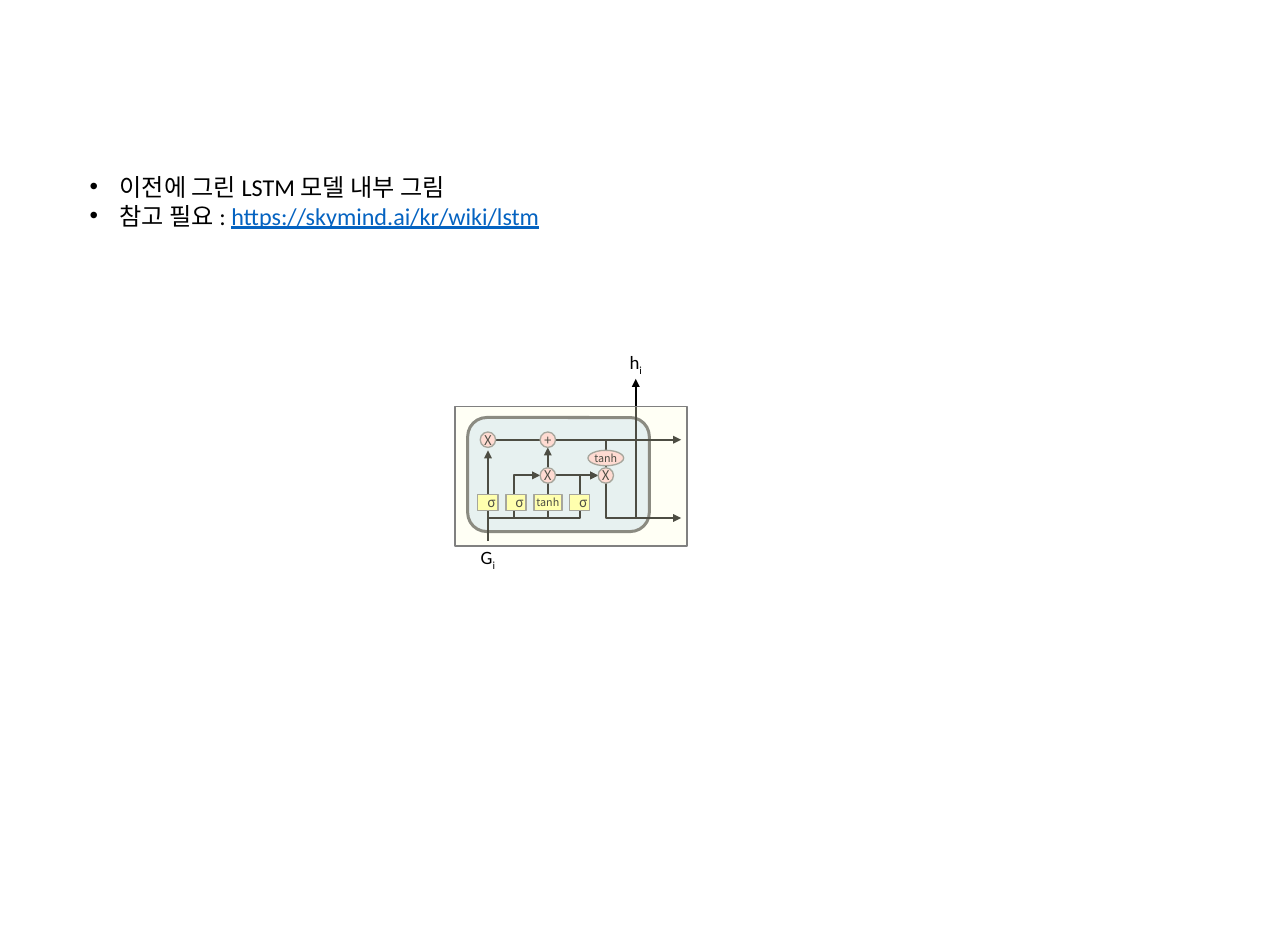
from lxml import etree
from pptx import Presentation
from pptx.dml.color import RGBColor
from pptx.enum.shapes import MSO_CONNECTOR, MSO_SHAPE
from pptx.enum.text import MSO_ANCHOR, PP_ALIGN
from pptx.oxml.ns import qn
from pptx.util import Inches, Pt

STRAIGHT, ELBOW = MSO_CONNECTOR.STRAIGHT, MSO_CONNECTOR.ELBOW
RECT, ROUND, OVAL = MSO_SHAPE.RECTANGLE, MSO_SHAPE.ROUNDED_RECTANGLE, MSO_SHAPE.OVAL
MIDDLE, LEFT, CENTER = MSO_ANCHOR.MIDDLE, PP_ALIGN.LEFT, PP_ALIGN.CENTER

BLACK = RGBColor(0x00, 0x00, 0x00)
LINK = RGBColor(0x05, 0x63, 0xC1)
GREY = RGBColor(0x80, 0x80, 0x80)
DARK = RGBColor(0x59, 0x59, 0x59)
BLUE = RGBColor(0xDE, 0xEB, 0xF7)
PINK = RGBColor(0xFF, 0xCC, 0xCC)
YELLOW = RGBColor(0xFF, 0xFF, 0x99)
IVORY = RGBColor(0xFF, 0xFF, 0xE0)

BODY_FONT, SYMBOL_FONT = "Calibri", "Noto Sans CJK KR"
SLIDE_W, SLIDE_H = Inches(13.33), Inches(9.84)
COLS, ROWS = 240, 144


def add_run(p, text, size, font=BODY_FONT, color=BLACK, underline=None, baseline=None):
    r = p.add_run()
    r.text = text
    r.font.size, r.font.name, r.font.underline = Pt(size), font, underline
    r.font.color.rgb = color
    if baseline:
        r.font._element.set("baseline", str(baseline * 1000))


def add_bullet(p):
    pPr = p._p.get_or_add_pPr()
    pPr.set("marL", str(Inches(0.31)))
    pPr.set("indent", str(-Inches(0.31)))
    etree.SubElement(pPr, qn("a:buFont")).set("typeface", "Arial")
    etree.SubElement(pPr, qn("a:buChar")).set("char", "•")


def add_notes_list(s, left, top, width, height):
    tf = s.shapes.add_textbox(left, top, width, height).text_frame
    tf.word_wrap = True
    lines = [
        [("이전에 그린 LSTM 모델 내부 그림", {})],
        [("참고 필요 : ", {}),
         ("https://skymind.ai/kr/wiki/lstm", {"color": LINK, "underline": True})],
    ]
    for i, line in enumerate(lines):
        p = tf.add_paragraph() if i else tf.paragraphs[0]
        p.alignment = LEFT
        add_bullet(p)
        for text, style in line:
            add_run(p, text, 18, **style)


def add_lstm_cell(s, left, top, width, height):
    def x(col):
        return round(left + col * width / COLS)

    def y(row):
        return round(top + row * height / ROWS)

    def node(kind, cx, cy, w, h, fill, line=GREY, weight=1, text=None):
        sp = s.shapes.add_shape(kind, x(cx - w / 2), y(cy - h / 2),
                                x(w) - left, y(h) - top)
        sp.shadow.inherit = False
        sp.fill.solid()
        sp.fill.fore_color.rgb = fill
        sp.line.color.rgb, sp.line.width = line, Pt(weight)
        if text:
            tf = sp.text_frame
            tf.vertical_anchor = MIDDLE
            wide = len(text) > 1
            if wide:
                tf.margin_left = tf.margin_right = 0
            p = tf.paragraphs[0]
            p.alignment = CENTER
            add_run(p, text, 8 if wide else 10, font=SYMBOL_FONT)
        return sp

    def wire(x0, y0, x1, y1, via=None):
        c = s.shapes.add_connector(ELBOW if via else STRAIGHT,
                                   x(x0), y(y0), x(x1), y(y1))
        c.line.color.rgb, c.line.width = BLACK, Pt(1.5)
        spPr = c._element.spPr
        if via:
            guides = spPr.find(qn("a:prstGeom")).get_or_add_avLst()
            gd = etree.SubElement(guides, qn("a:gd"))
            gd.set("name", "adj1")
            gd.set("fmla", f"val {round((via - x0) / (x1 - x0) * 100000)}")
        etree.SubElement(c.line._get_or_add_ln(), qn("a:tailEnd")).set("type", "triangle")
        etree.SubElement(spPr, qn("a:effectLst"))

    def label(text, cx, row):
        tf = s.shapes.add_textbox(x(cx - 18), y(row), x(36) - left, y(34) - top).text_frame
        tf.word_wrap = False
        p = tf.paragraphs[0]
        p.alignment = CENTER
        add_run(p, text, 14)
        add_run(p, "i", 14, baseline=-25)

    forget, update, candidate, output, result, hidden, end = 34, 63, 96, 129, 156, 187, 234
    state, squash, mix, gates, bus = 34, 53, 71, 99, 115

    node(ROUND, 107, 70, 188, 118, BLUE, DARK, 2.25)
    wire(forget - 8, state, end, state)
    wire(forget, 139, forget, 45)
    wire(forget, bus, result - 8, mix, via=output)
    wire(forget, bus, result - 8, mix, via=candidate)
    wire(forget, bus, candidate - 8, mix, via=61)
    wire(candidate, bus, candidate, 42)
    wire(result - 5, state, end, bus, via=result)
    wire(hidden, bus, hidden, -29)

    for text, cx, cy in [("X", forget, state), ("+", candidate, state),
                         ("X", candidate, mix), ("X", result, mix)]:
        node(OVAL, cx, cy, 16, 16, PINK, text=text)
    node(OVAL, result, squash, 37, 16, PINK, text="tanh")
    for text, cx, w in [("σ", forget, 21), ("σ", update, 21),
                        ("tanh", candidate, 29), ("σ", output, 21)]:
        node(RECT, cx, gates, w, 16, YELLOW, text=text)

    label("G", forget, 139)
    label("h", hidden, -63)

    veil = node(RECT, COLS / 2, ROWS / 2, COLS, ROWS, IVORY)
    color = veil._element.spPr.find(qn("a:solidFill"))[0]
    etree.SubElement(color, qn("a:alpha")).set("val", "30000")


def main():
    prs = Presentation()
    prs.slide_width, prs.slide_height = SLIDE_W, SLIDE_H
    s = prs.slides.add_slide(prs.slide_layouts[6])
    add_notes_list(s, Inches(0.83), Inches(1.73), Inches(5.31), Inches(1.01))
    add_lstm_cell(s, Inches(4.71), Inches(4.21), Inches(2.4), Inches(1.44))
    prs.save("out.pptx")


if __name__ == "__main__":
    main()
